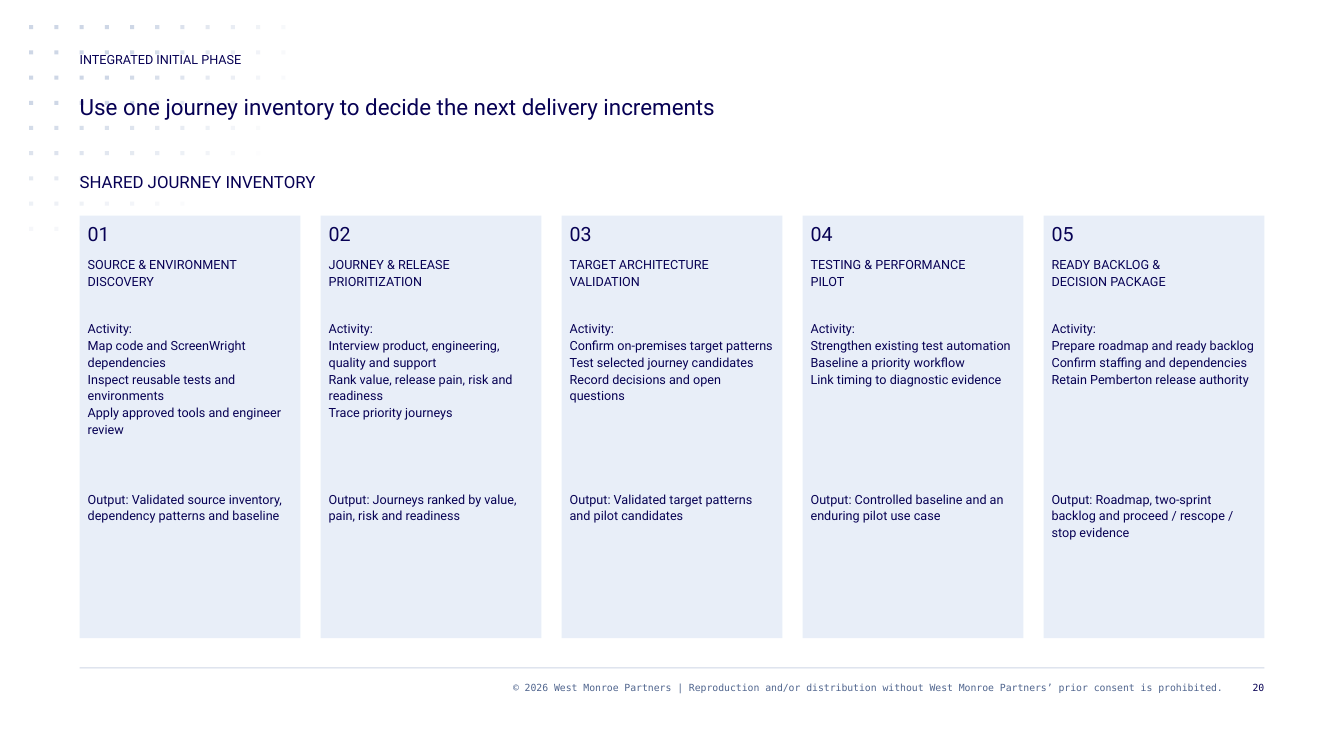
from math import hypot

from lxml import etree
from pptx import Presentation
from pptx.dml.color import RGBColor
from pptx.enum.shapes import MSO_SHAPE
from pptx.enum.text import MSO_ANCHOR, PP_ALIGN
from pptx.oxml.ns import qn
from pptx.util import Inches, Pt

NAVY = RGBColor(0x07, 0x01, 0x54)
SLATE = RGBColor(0x50, 0x65, 0x8E)
MIST = RGBColor(0xCE, 0xD7, 0xE6)
PALE = RGBColor(0xE8, 0xEE, 0xF8)

LEFT = 0.79
CONTENT_WIDTH = 11.75
DOT_STEP = 0.25
DOTS_PER_ROW = [11, 11, 11, 11, 10, 10, 9, 7, 3]
CARD_TOP = 2.14
CARD_WIDTH = 2.19
CARD_STEP = 2.39
CARD_INSET = 0.08

CARDS = [
    (["SOURCE & ENVIRONMENT", "DISCOVERY"],
     ["Map code and ScreenWright dependencies",
      "Inspect reusable tests and environments",
      "Apply approved tools and engineer review"],
     "Validated source inventory, dependency patterns and baseline"),
    (["JOURNEY & RELEASE", "PRIORITIZATION"],
     ["Interview product, engineering, quality and support",
      "Rank value, release pain, risk and readiness",
      "Trace priority journeys"],
     "Journeys ranked by value, pain, risk and readiness"),
    (["TARGET ARCHITECTURE", "VALIDATION"],
     ["Confirm on-premises target patterns",
      "Test selected journey candidates",
      "Record decisions and open questions"],
     "Validated target patterns and pilot candidates"),
    (["TESTING & PERFORMANCE", "PILOT"],
     ["Strengthen existing test automation",
      "Baseline a priority workflow",
      "Link timing to diagnostic evidence"],
     "Controlled baseline and an enduring pilot use case"),
    (["READY BACKLOG &", "DECISION PACKAGE"],
     ["Prepare roadmap and ready backlog",
      "Confirm staffing and dependencies",
      "Retain Pemberton release authority"],
     "Roadmap, two-sprint backlog and proceed / rescope / stop evidence"),
]

presentation = Presentation()
presentation.slide_width = Inches(13.33)
presentation.slide_height = Inches(7.5)
slide = presentation.slides.add_slide(presentation.slide_layouts[6])


def add_text(lines, left, top, width, height, size=9, spacing=12,
             font="Roboto", color=NAVY, align=PP_ALIGN.LEFT):
    box = slide.shapes.add_textbox(Inches(left), Inches(top), Inches(width), Inches(height))
    frame = box.text_frame
    frame.word_wrap = True
    frame.vertical_anchor = MSO_ANCHOR.TOP
    frame.margin_left = frame.margin_right = frame.margin_top = frame.margin_bottom = 0
    frame.text = "\n".join(lines)
    for paragraph in frame.paragraphs:
        paragraph.alignment = align
        paragraph.line_spacing = Pt(spacing)
        paragraph.font.name = font
        paragraph.font.size = Pt(size)
        paragraph.font.color.rgb = color


def add_block(left, top, width, height, color, opacity=100):
    shape = slide.shapes.add_shape(MSO_SHAPE.RECTANGLE, Inches(left), Inches(top),
                                   Inches(width), Inches(height))
    shape.shadow.inherit = False
    shape.line.fill.background()
    shape.fill.solid()
    shape.fill.fore_color.rgb = color
    if opacity < 100:
        for color_element in shape.fill._xPr.iter(qn("a:srgbClr")):
            etree.SubElement(color_element, qn("a:alpha"), val=str(opacity * 1000))


add_block(LEFT, 6.62, CONTENT_WIDTH, 0.01, MIST)

for row, dot_count in enumerate(DOTS_PER_ROW):
    for column in range(dot_count):
        opacity = min(100, round(153.4 - 13.85 * hypot(column, 1.22 * row)))
        add_block(0.29 + DOT_STEP * column, 0.25 + DOT_STEP * row, 0.04, 0.04, MIST, opacity)

add_text(["© 2026 West Monroe Partners | Reproduction and/or distribution without "
          "West Monroe Partners’ prior consent is prohibited."],
         2.38, 6.75, 9.75, 0.25, size=7, spacing=9, font="DejaVu Sans Mono",
         color=SLATE, align=PP_ALIGN.RIGHT)
add_text(["20"], 12.21, 6.75, 0.33, 0.25, size=7, spacing=9,
         font="DejaVu Sans Mono", align=PP_ALIGN.RIGHT)

add_text(["INTEGRATED INITIAL PHASE"], LEFT, 0.5, CONTENT_WIDTH, 0.25)
add_text(["Use one journey inventory to decide the next delivery increments"],
         LEFT, 0.86, CONTENT_WIDTH, 0.67, size=16, spacing=24)
add_text(["SHARED JOURNEY INVENTORY"], LEFT, 1.65, CONTENT_WIDTH, 0.26, size=12, spacing=18)

for index, (heading, activities, output) in enumerate(CARDS):
    card_left = LEFT + CARD_STEP * index
    text_left = card_left + CARD_INSET
    text_width = CARD_WIDTH - 2 * CARD_INSET
    add_block(card_left, CARD_TOP, CARD_WIDTH, 4.19, PALE)
    add_text([f"{index + 1:02}"], text_left, CARD_TOP, text_width, 0.3, size=14, spacing=21)
    add_text(heading, text_left, 2.53, text_width, 0.5)
    add_text(["Activity:"] + activities, text_left, 3.17, text_width, 1.56)
    add_text([f"Output: {output}"], text_left, 4.86, text_width, 1.39)

presentation.save("out.pptx")
